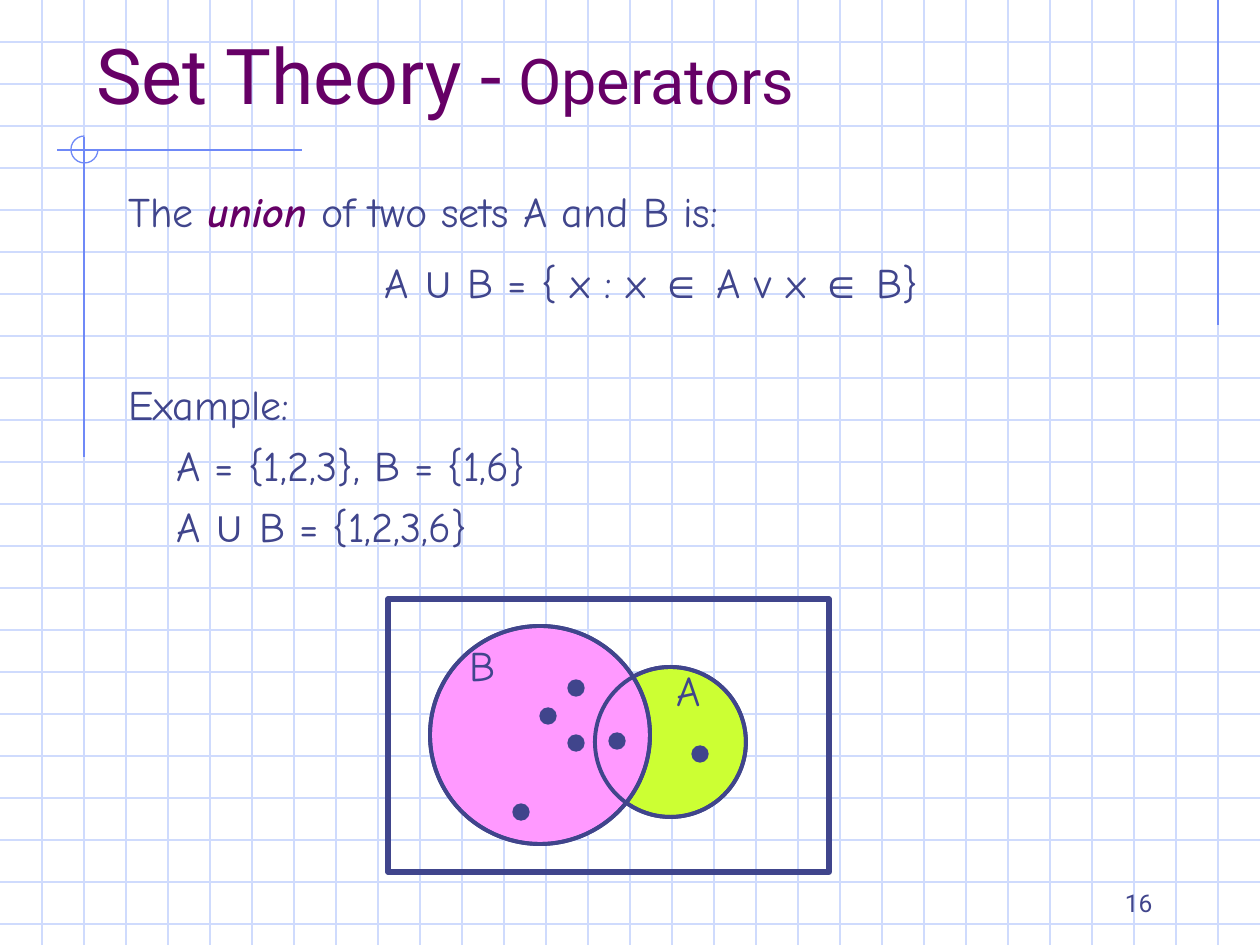
from itertools import groupby

from lxml import etree
from pptx import Presentation
from pptx import util as u
from pptx.dml.color import RGBColor
from pptx.enum import shapes, text
from pptx.oxml import ns

PX = u.Inches(1) / 126
WIDTH, HEIGHT, GRID = 1260, 945, 42
GRID_BLUE = RGBColor(0xCF, 0xDB, 0xFD)
RULE_BLUE = RGBColor(0x6F, 0x89, 0xF7)
INK = RGBColor(0x40, 0x45, 0x8C)
PURPLE = RGBColor(0x66, 0x00, 0x66)
PINK = RGBColor(0xFF, 0x99, 0xFF)
LIME = RGBColor(0xCC, 0xFF, 0x33)
HEADING_FONT, BODY_FONT, SYMBOL_FONT = "Roboto", "Comic Neue", "Arial"
SYMBOLS = "∪∈"


def px(*lengths):
    return [u.Emu(round(length * PX)) for length in lengths]


class SlideBuilder:
    def __init__(self, slide):
        self.slide = slide

    def line(self, x1, y1, x2, y2, color):
        connector = self.slide.shapes.add_connector(
            shapes.MSO_CONNECTOR.STRAIGHT, *px(x1, y1, x2, y2))
        connector.line.color.rgb = color
        connector.line.width = u.Pt(0.75)
        etree.SubElement(connector._element.spPr, ns.qn("a:effectLst"))

    def shape(self, kind, box, color, weight, fill=None):
        shape = self.slide.shapes.add_shape(kind, *px(*box))
        shape.shadow.inherit = False
        if fill is None:
            shape.fill.background()
        else:
            shape.fill.solid()
            shape.fill.fore_color.rgb = fill
        shape.line.color.rgb = color
        shape.line.width = u.Pt(weight)
        return shape

    def ellipse(self, box, weight=2.25, fill=None):
        self.shape(shapes.MSO_SHAPE.OVAL, box, INK, weight, fill)

    def text_box(self, box, anchor=text.MSO_ANCHOR.TOP):
        frame = self.slide.shapes.add_textbox(*px(*box)).text_frame
        frame.word_wrap = True
        frame.vertical_anchor = anchor
        return frame

    def run(self, paragraph, content, size=24, font=BODY_FONT, color=INK):
        run = paragraph.add_run()
        run.text = content
        run.font.size = u.Pt(size)
        run.font.name = font
        run.font.color.rgb = color
        return run

    def formula(self, paragraph, content):
        for is_symbol, letters in groupby(content, lambda c: c in SYMBOLS):
            font = SYMBOL_FONT if is_symbol else BODY_FONT
            self.run(paragraph, "".join(letters), font=font)

    def label(self, box, content):
        paragraph = self.text_box(box).paragraphs[0]
        paragraph.line_spacing = 0.9
        self.run(paragraph, content)


def draw_background(builder):
    for y in range(GRID, HEIGHT, GRID):
        builder.line(0, y, WIDTH, y, GRID_BLUE)
    for x in range(GRID, WIDTH, GRID):
        builder.line(x, 0, x, HEIGHT, GRID_BLUE)
    builder.line(1218, 0, 1218, 325, RULE_BLUE)
    builder.line(302, 150, 57, 150, RULE_BLUE)
    builder.line(84, 137, 84, 457, RULE_BLUE)
    arc = builder.shape(shapes.MSO_SHAPE.ARC, (71, 136, 27, 27), RULE_BLUE, 0.75)
    arc.adjustments[0] = 0
    arc.adjustments[1] = 162


def draw_text(builder):
    number = builder.text_box((903, 892, 262, 32), text.MSO_ANCHOR.BOTTOM).paragraphs[0]
    number.alignment = text.PP_ALIGN.RIGHT
    builder.run(number, "16", 14, HEADING_FONT)

    title = builder.text_box((84, 42, 1134, 84), text.MSO_ANCHOR.BOTTOM).paragraphs[0]
    builder.run(title, "Set Theory -", 44, HEADING_FONT, PURPLE)
    builder.run(title, " Operators", 36, HEADING_FONT, PURPLE)

    body = builder.text_box((116, 179, 1071, 683))
    definition = body.paragraphs[0]
    builder.run(definition, "The ")
    union = builder.run(definition, "union", color=PURPLE)
    union.font.bold = union.font.italic = True
    builder.run(definition, " of two sets A and B is:")

    left, center = text.PP_ALIGN.LEFT, text.PP_ALIGN.CENTER
    for content, alignment, space, indent in (
            ("A ∪ B = { x : x ∈ A v x ∈ B}", center, 12, 0),
            ("Example:", left, 41, 0),
            ("A = {1,2,3}, B = {1,6}", left, 6, 48),
            ("A ∪ B = {1,2,3,6}", left, 6, 48)):
        paragraph = body.add_paragraph()
        paragraph.alignment = alignment
        paragraph.space_before = u.Pt(space)
        if indent:
            paragraph._p.get_or_add_pPr().set("marL", str(px(indent)[0]))
        builder.formula(paragraph, content)


def draw_venn_diagram(builder):
    set_a, set_b = (595, 667, 151, 150), (430, 626, 220, 218)
    builder.ellipse(set_a, fill=LIME)
    builder.shape(shapes.MSO_SHAPE.RECTANGLE, (388, 599, 441, 273), INK, 3)
    builder.ellipse(set_b, fill=PINK)
    builder.label((664, 664, 69, 82), "A")
    for x, y in ((540, 708), (568, 735), (513, 804), (568, 680), (692, 746), (609, 733)):
        builder.ellipse((x, y, 16, 16), 0.75, INK)
    builder.label((457, 639, 83, 96), "B")
    builder.ellipse(set_b)
    builder.ellipse(set_a)


def main():
    presentation = Presentation()
    presentation.slide_width, presentation.slide_height = px(WIDTH, HEIGHT)
    slide = presentation.slides.add_slide(presentation.slide_layouts[6])
    builder = SlideBuilder(slide)
    draw_background(builder)
    draw_text(builder)
    draw_venn_diagram(builder)
    presentation.save("out.pptx")


if __name__ == "__main__":
    main()
